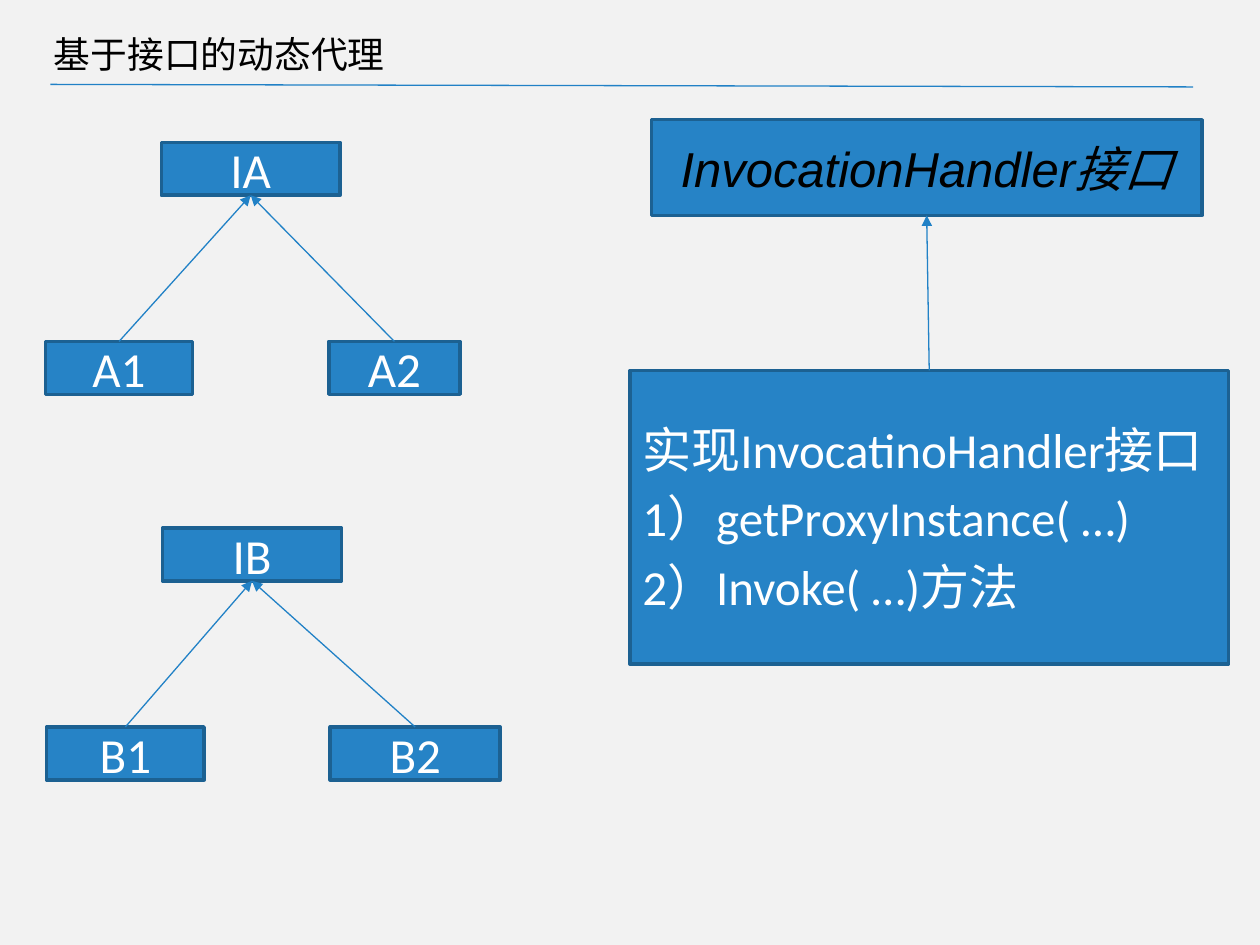
from lxml import etree
from pptx import Presentation
from pptx.dml.color import RGBColor
from pptx.enum.shapes import MSO_CONNECTOR, MSO_SHAPE
from pptx.enum.text import MSO_ANCHOR, PP_ALIGN
from pptx.oxml.ns import qn
from pptx.util import Inches, Pt

RECTANGLE = MSO_SHAPE.RECTANGLE
STRAIGHT = MSO_CONNECTOR.STRAIGHT
MIDDLE = MSO_ANCHOR.MIDDLE
LEFT, CENTER = PP_ALIGN.LEFT, PP_ALIGN.CENTER

BACKGROUND = RGBColor(0xF2, 0xF2, 0xF2)
BOX_FILL = RGBColor(0x26, 0x83, 0xC6)
BOX_BORDER = RGBColor(0x1C, 0x61, 0x92)
ARROW_BLUE = RGBColor(0x21, 0x81, 0xC6)
BLACK = RGBColor(0, 0, 0)
WHITE = RGBColor(0xFF, 0xFF, 0xFF)

TITLE_FONT = {"name": "Calibri", "size": Pt(21), "color": BLACK}
BOX_FONT = {"name": "Calibri", "size": Pt(28), "color": WHITE}
INTERFACE_FONT = {"name": "Arial", "size": Pt(28), "italic": True, "color": BLACK}

TOP_SITE, BOTTOM_SITE = 0, 2
NODE_HEIGHT = 0.42
PARENT_WIDTH = 1.42
LEVEL_GAP = 1.58
TREES = [
    (("IA", 1.28), 1.13, [("A1", 0.36, 1.17), ("A2", 2.61, 1.04)]),
    (("IB", 1.29), 4.19, [("B1", 0.37, 1.25), ("B2", 2.62, 1.35)]),
]
HANDLER_LINES = [
    "实现InvocatinoHandler接口",
    "1）getProxyInstance( …)",
    "2）Invoke( …)方法",
]


class DiagramSlide:
    """Draws styled titles, boxes, lines and class trees on one slide."""

    def __init__(self, presentation):
        self.slide = presentation.slides.add_slide(presentation.slide_layouts[6])
        fill = self.slide.background.fill
        fill.solid()
        fill.fore_color.rgb = BACKGROUND

    def add_text(self, shape, lines, font_format, alignment):
        frame = shape.text_frame
        frame.word_wrap = True
        frame.vertical_anchor = MIDDLE
        for index, line in enumerate(lines):
            paragraph = frame.add_paragraph() if index else frame.paragraphs[0]
            paragraph.alignment = alignment
            if index:
                paragraph.space_before = Pt(5.6)
            run = paragraph.add_run()
            run.text = line
            for name, value in font_format.items():
                if name == "color":
                    run.font.color.rgb = value
                else:
                    setattr(run.font, name, value)

    def title(self, text, left, top, width, height):
        shape = self.slide.shapes.add_textbox(
            Inches(left), Inches(top), Inches(width), Inches(height))
        self.add_text(shape, [text], TITLE_FONT, LEFT)

    def box(self, lines, left, top, width, height, font_format=BOX_FONT, alignment=CENTER):
        shape = self.slide.shapes.add_shape(
            RECTANGLE, Inches(left), Inches(top), Inches(width), Inches(height))
        shape.shadow.inherit = False
        shape.fill.solid()
        shape.fill.fore_color.rgb = BOX_FILL
        shape.line.color.rgb = BOX_BORDER
        shape.line.width = Pt(2)
        self.add_text(shape, lines, font_format, alignment)
        return shape

    def line(self, left, top, right, bottom):
        connector = self.slide.shapes.add_connector(
            STRAIGHT, Inches(left), Inches(top), Inches(right), Inches(bottom))
        connector.line.color.rgb = ARROW_BLUE
        connector.line.width = Pt(0.75)
        etree.SubElement(connector._element.spPr, qn("a:effectLst"))
        return connector

    def arrow(self, child, parent):
        connector = self.line(0, 0, 1, 1)
        connector.begin_connect(child, TOP_SITE)
        connector.end_connect(parent, BOTTOM_SITE)
        outline = connector._element.spPr.find(qn("a:ln"))
        etree.SubElement(outline, qn("a:tailEnd"), type="triangle")

    def tree(self, parent, top, children):
        name, left = parent
        parent_box = self.box([name], left, top, PARENT_WIDTH, NODE_HEIGHT)
        child_boxes = [
            self.box([child], child_left, top + LEVEL_GAP, width, NODE_HEIGHT)
            for child, child_left, width in children
        ]
        for child_box in child_boxes:
            self.arrow(child_box, parent_box)


def main():
    presentation = Presentation()
    presentation.slide_width = Inches(10)
    presentation.slide_height = Inches(7.5)
    diagram = DiagramSlide(presentation)
    diagram.line(0.4, 0.67, 9.47, 0.69)
    diagram.title("基于接口的动态代理", 0.33, 0.16, 8.62, 0.53)
    for parent, top, children in TREES:
        diagram.tree(parent, top, children)
    interface = diagram.box(
        ["InvocationHandler接口"], 5.17, 0.95, 4.37, 0.76, INTERFACE_FONT)
    handler = diagram.box(HANDLER_LINES, 5, 2.94, 4.75, 2.33, alignment=LEFT)
    diagram.arrow(handler, interface)
    presentation.save("out.pptx")


if __name__ == "__main__":
    main()
